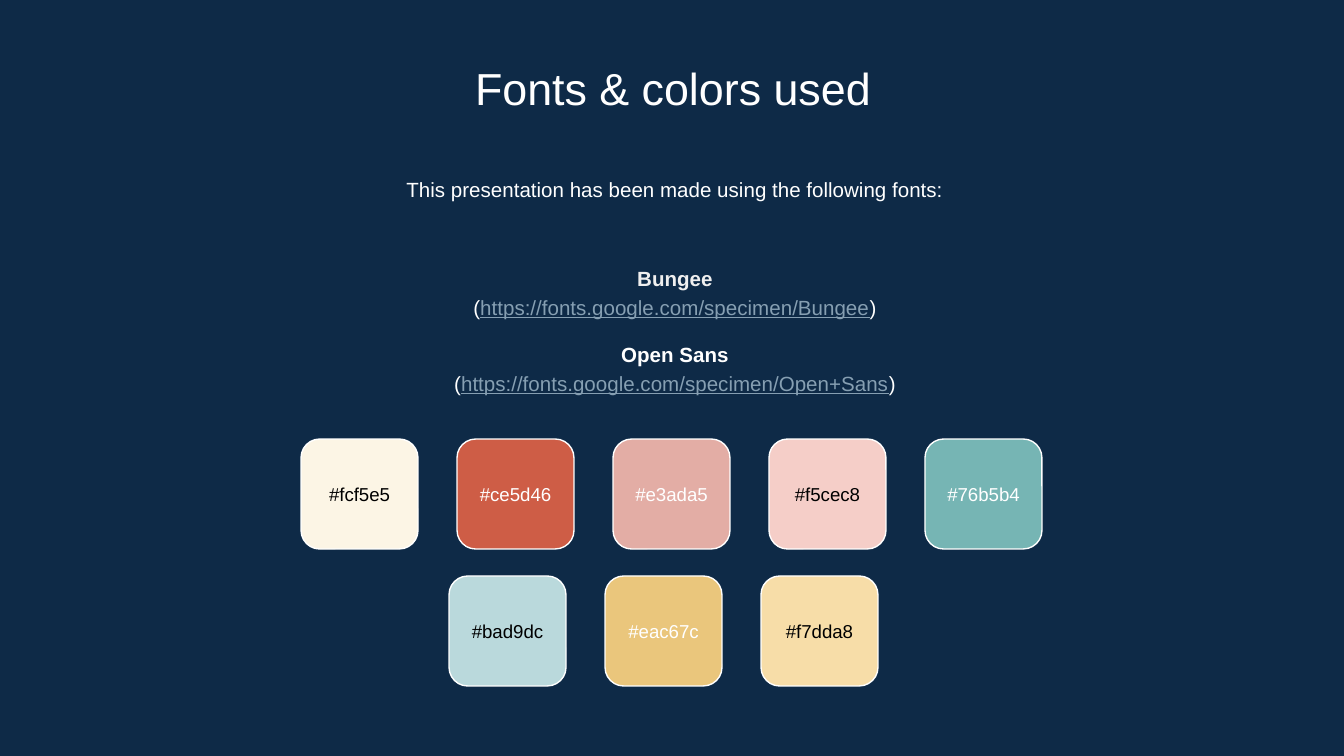
import pptx
import pptx.dml.color
import pptx.enum.shapes
import pptx.enum.text
import pptx.util

RGBColor = pptx.dml.color.RGBColor
Pt = pptx.util.Pt

EMU_PER_PX = 9144000 / 1344
FONT = "Arial"
NAVY = RGBColor(0x0E, 0x2A, 0x47)
WHITE = RGBColor(0xFF, 0xFF, 0xFF)
BLACK = RGBColor(0x00, 0x00, 0x00)
LIGHT_GRAY = RGBColor(0xEF, 0xEF, 0xEF)
LINK_BLUE = RGBColor(0x86, 0x9F, 0xB2)

FONTS_USED = [
    ("Bungee", LIGHT_GRAY, "https://fonts.google.com/specimen/Bungee"),
    ("Open Sans", WHITE, "https://fonts.google.com/specimen/Open+Sans"),
]
SWATCH_ROWS = [
    (301, 439, [("#fcf5e5", BLACK), ("#ce5d46", WHITE), ("#e3ada5", WHITE),
                ("#f5cec8", BLACK), ("#76b5b4", WHITE)]),
    (449, 576, [("#bad9dc", BLACK), ("#eac67c", WHITE), ("#f7dda8", BLACK)]),
]
SWATCH_WIDTH = 117
SWATCH_HEIGHT = 110
SWATCH_PITCH = 156


def px(value):
    return pptx.util.Emu(round(value * EMU_PER_PX))


def box(left, top, width, height):
    return px(left), px(top), px(width), px(height)


def set_frame(text_frame, anchor, wrap=True):
    text_frame.word_wrap = wrap
    text_frame.auto_size = pptx.enum.text.MSO_AUTO_SIZE.NONE
    text_frame.vertical_anchor = anchor
    text_frame.margin_left = text_frame.margin_right = Pt(7.2)
    text_frame.margin_top = text_frame.margin_bottom = Pt(7.2)


def add_run(paragraph, text, size, color, bold=False, underline=False):
    run = paragraph.add_run()
    run.text = text
    run.font.name = FONT
    run.font.size = Pt(size)
    run.font.color.rgb = color
    run.font.bold = bold
    run.font.underline = underline


def center(paragraph, line_spacing=1.0):
    paragraph.alignment = pptx.enum.text.PP_ALIGN.CENTER
    paragraph.line_spacing = line_spacing


def add_title(slide, text):
    title = slide.shapes.title
    title.left, title.top, title.width, title.height = box(155, 47, 1036, 71)
    set_frame(title.text_frame, pptx.enum.text.MSO_ANCHOR.TOP)
    paragraph = title.text_frame.paragraphs[0]
    center(paragraph)
    add_run(paragraph, text, 24, WHITE)


def add_intro(slide, text):
    text_frame = slide.shapes.add_textbox(*box(157, 160, 1036, 65)).text_frame
    set_frame(text_frame, pptx.enum.text.MSO_ANCHOR.TOP)
    paragraph = text_frame.paragraphs[0]
    center(paragraph, 1.15)
    add_run(paragraph, text, 11, WHITE)


def add_font_list(slide):
    text_frame = slide.shapes.add_textbox(*box(157, 237, 1036, 184)).text_frame
    set_frame(text_frame, pptx.enum.text.MSO_ANCHOR.MIDDLE)
    for index, (name, color, address) in enumerate(FONTS_USED):
        if index:
            name_line = text_frame.add_paragraph()
            name_line.space_before = Pt(10.5)
        else:
            name_line = text_frame.paragraphs[0]
        center(name_line, 1.15)
        add_run(name_line, name, 11, color, bold=True)
        address_line = text_frame.add_paragraph()
        center(address_line, 1.15)
        add_run(address_line, "(", 11, WHITE)
        add_run(address_line, address, 11, LINK_BLUE, underline=True)
        add_run(address_line, ")", 11, WHITE)


def add_swatch(slide, left, top, code, text_color):
    swatch = slide.shapes.add_shape(
        pptx.enum.shapes.MSO_SHAPE.ROUNDED_RECTANGLE,
        *box(left, top, SWATCH_WIDTH, SWATCH_HEIGHT))
    swatch.adjustments[0] = 0.17
    swatch.shadow.inherit = False
    swatch.fill.solid()
    swatch.fill.fore_color.rgb = RGBColor.from_string(code[1:].upper())
    swatch.line.color.rgb = WHITE
    swatch.line.width = Pt(0.75)
    set_frame(swatch.text_frame, pptx.enum.text.MSO_ANCHOR.MIDDLE, wrap=False)
    paragraph = swatch.text_frame.paragraphs[0]
    center(paragraph)
    add_run(paragraph, code, 10, text_color)


def main():
    presentation = pptx.Presentation()
    presentation.slide_width = px(1344)
    presentation.slide_height = px(756)
    slide = presentation.slides.add_slide(presentation.slide_layouts[5])
    slide.background.fill.solid()
    slide.background.fill.fore_color.rgb = NAVY

    add_title(slide, "Fonts & colors used")
    add_intro(slide, "This presentation has been made using the following fonts:")
    add_font_list(slide)
    for left, top, swatches in SWATCH_ROWS:
        for column, (code, text_color) in enumerate(swatches):
            add_swatch(slide, left + column * SWATCH_PITCH, top, code, text_color)

    presentation.save("out.pptx")


if __name__ == "__main__":
    main()
